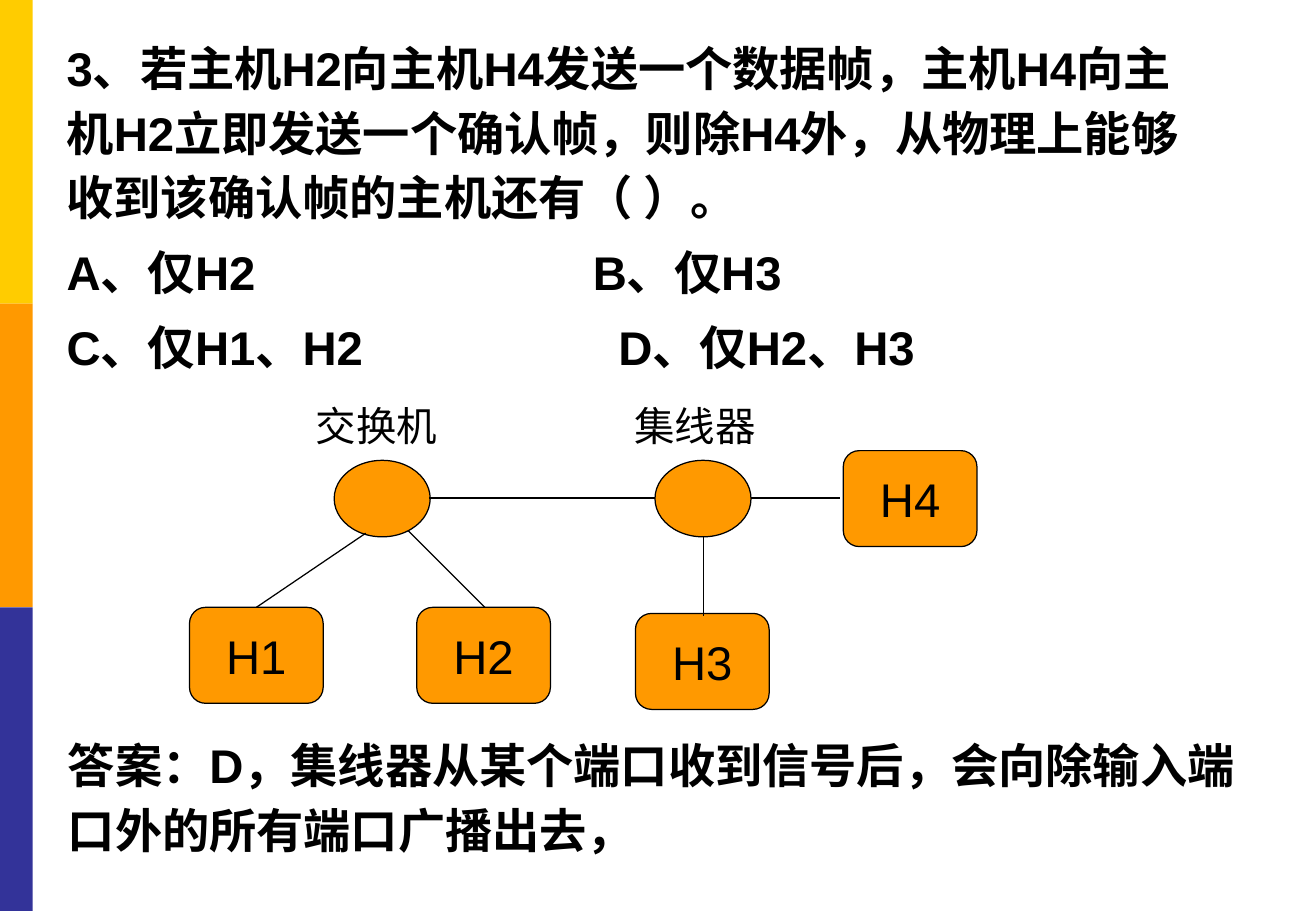
from typing import NamedTuple

from lxml.etree import SubElement
from pptx import Presentation
from pptx.dml.color import RGBColor
from pptx.enum.shapes import MSO_CONNECTOR as Connector, MSO_SHAPE as Shape
from pptx.enum.text import MSO_ANCHOR as Anchor, MSO_AUTO_SIZE as AutoSize, PP_ALIGN as Align
from pptx.oxml.ns import qn
from pptx.util import Inches, Pt

COLORS = {"yellow": "FFCC00", "orange": "FF9900", "indigo": "333399", "black": "000000"}
BODY = {"name": "Arial", "size": Pt(28), "bold": True}
HOST = {"name": "Arial", "size": Pt(28), "bold": False}
CAPTION = {"name": "Arial", "size": Pt(24), "bold": False}
BAND_WIDTH, BAND_HEIGHT = 0.27, 2.5
HOST_SIZE = (1.1, 0.79)
HUB_SIZE = (0.79, 0.63)


class Line(NamedTuple):
    text: str
    tab: float = 0


class Passage(NamedTuple):
    left: float
    top: float
    width: float
    height: float
    lines: tuple[Line, ...]
    style: dict
    spacing: float = 1.14
    fit: AutoSize = AutoSize.NONE


class Device(NamedTuple):
    left: float
    top: float
    label: str = ""


class Link(NamedTuple):
    x1: float
    y1: float
    x2: float
    y2: float


PASSAGES = (
    Passage(0.45, 0.21, 9.52, 2.99, (
        Line("3、若主机H2向主机H4发送一个数据帧，主机H4向主机H2立即发送一个确认帧，"
             "则除H4外，从物理上能够收到该确认帧的主机还有（ ）。"),
        Line("A、仅H2\tB、仅H3", 4.33),
        Line("C、仅H1、H2\tD、仅H2、H3", 4.54),
    ), BODY),
    Passage(0.46, 5.95, 9.91, 1.26, (
        Line("答案：D，集线器从某个端口收到信号后，会向除输入端口外的所有端口广播出去，"),
    ), BODY),
    Passage(2.5, 3.25, 1.34, 0.5, (Line("交换机"),), CAPTION, 1.0, AutoSize.SHAPE_TO_FIT_TEXT),
    Passage(5.12, 3.25, 1.34, 0.5, (Line("集线器"),), CAPTION, 1.0, AutoSize.SHAPE_TO_FIT_TEXT),
)
HOSTS = (Device(1.56, 5, "H1"), Device(3.43, 5, "H2"),
         Device(5.23, 5.05, "H3"), Device(6.94, 3.71, "H4"))
HUBS = (Device(2.75, 3.79), Device(5.39, 3.79))
LINKS = (Link(2.11, 5, 3.01, 4.39), Link(3.36, 4.37, 3.99, 5), Link(3.53, 4.1, 5.39, 4.1),
         Link(6.18, 4.1, 6.91, 4.1), Link(5.79, 5.07, 5.79, 4.42))


def rgb(name: str) -> RGBColor:
    """Look up a named colour."""
    return RGBColor.from_string(COLORS[name])


def write(paragraph, text: str, style: dict) -> None:
    """Add one styled run to a paragraph."""
    run = paragraph.add_run()
    run.text = text
    for attribute, value in style.items():
        setattr(run.font, attribute, value)
    run.font.color.rgb = rgb("black")


def outline(line) -> None:
    """Give a line the diagram's thin black stroke."""
    line.color.rgb = rgb("black")
    line.width = Pt(0.75)


def draw_block(slide, kind: Shape, left: float, top: float, size: tuple[float, float], color: str):
    """Draw a flat filled shape."""
    block = slide.shapes.add_shape(kind, Inches(left), Inches(top), *map(Inches, size))
    block.shadow.inherit = False
    block.fill.solid()
    block.fill.fore_color.rgb = rgb(color)
    block.line.fill.background()
    return block


def draw_device(slide, kind: Shape, device: Device, size: tuple[float, float]) -> None:
    """Draw an outlined network device and its label."""
    node = draw_block(slide, kind, device.left, device.top, size, "orange")
    outline(node.line)
    if device.label:
        node.text_frame.vertical_anchor = Anchor.MIDDLE
        label = node.text_frame.paragraphs[0]
        label.alignment = Align.CENTER
        write(label, device.label, HOST)


def draw_link(slide, link: Link) -> None:
    """Draw a straight cable between devices."""
    cable = slide.shapes.add_connector(Connector.STRAIGHT, *map(Inches, link))
    outline(cable.line)
    SubElement(cable._element.spPr, qn("a:effectLst"))


def draw_passage(slide, passage: Passage) -> None:
    """Draw a text box with its lines."""
    frame = slide.shapes.add_textbox(*map(Inches, passage[:4])).text_frame
    frame.word_wrap = True
    frame.auto_size = passage.fit
    for index, line in enumerate(passage.lines):
        paragraph = frame.add_paragraph() if index else frame.paragraphs[0]
        if line.tab:
            tabs = SubElement(paragraph._p.get_or_add_pPr(), qn("a:tabLst"))
            SubElement(tabs, qn("a:tab"), pos=str(Inches(line.tab)), algn="l")
        paragraph.line_spacing = passage.spacing
        paragraph.space_before = Pt(6 if index else 0)
        write(paragraph, line.text, passage.style)


def main() -> None:
    """Build and save the slide."""
    deck = Presentation()
    deck.slide_width, deck.slide_height = Inches(10.83), Inches(7.5)
    slide = deck.slides.add_slide(deck.slide_layouts[6])
    for row, color in enumerate(("yellow", "orange", "indigo")):
        draw_block(slide, Shape.RECTANGLE, 0, row * BAND_HEIGHT, (BAND_WIDTH, BAND_HEIGHT), color)
    for hub in HUBS:
        draw_device(slide, Shape.OVAL, hub, HUB_SIZE)
    for host in HOSTS:
        draw_device(slide, Shape.FLOWCHART_ALTERNATE_PROCESS, host, HOST_SIZE)
    for link in LINKS:
        draw_link(slide, link)
    for passage in PASSAGES:
        draw_passage(slide, passage)
    deck.save("out.pptx")


if __name__ == "__main__":
    main()
